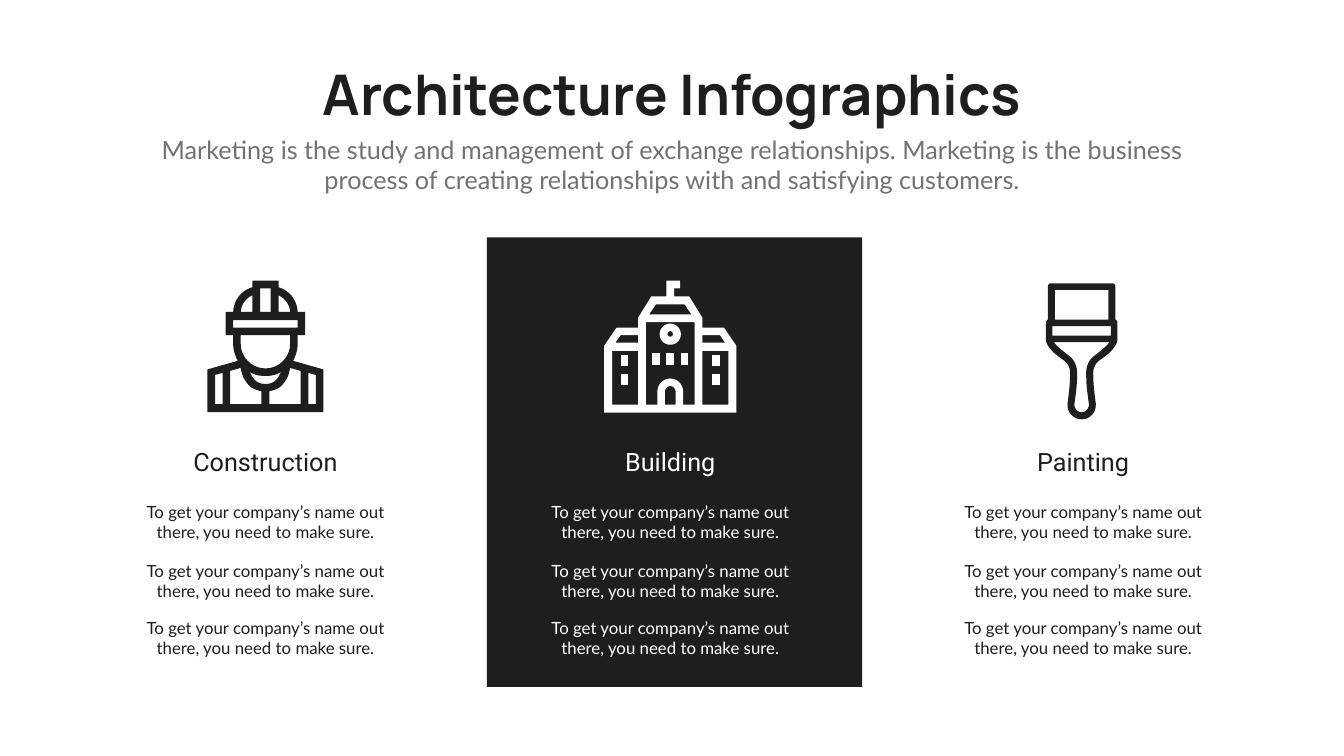
from pptx import Presentation
from pptx import util as u
from pptx.dml.color import RGBColor
from pptx.enum import shapes, text

INK = {"dark": "1E1E1F", "white": "FFFFFF", "gray": "727173"}
WIDE, HIGH = u.Inches(26.66), u.Inches(15)
COL, ROW = WIDE / 100, HIGH / 100
DOT = WIDE / 2666
FINE = 10

WORKER = {
    "whole": [
        [(26, 0), (26, 13), (48, 19, 63, 39, 64, 62), (79, 62), (79, 108), (64, 108),
         (64, 125), (64, 137, 60, 149, 55, 159), (115, 176), (115, 261)],
        [(0, 205), (14, 205, 23, 198, 29, 185), (31, 181), (22, 187, 12, 189, 0, 189)],
        [(10.5, 15), (10.5, 62)],
        [(64, 78), (64, 93)],
        [(49, 108), (49, 125), (49, 152, 27, 174, 0, 174)],
    ],
    "pair": [
        [(8, 219), (16, 218, 23, 215, 29, 211), (35, 206, 40, 199, 44, 191),
         (47, 184, 48, 178, 49, 173), (70, 179), (70, 245), (8, 245)],
        [(49, 62), (26, 62), (26, 29), (39, 35, 48, 47, 49, 62)],
        [(85, 183), (100, 187), (100, 245), (85, 245)],
    ],
}
HALL = {
    "whole": [
        [(37.5, 31), (63.5, 73), (63.5, 93), (106.5, 93), (131, 129), (131, 262)],
        [(28.5, 47), (42, 67)],
        [(0, 209), (6, 209, 10.5, 214, 10.5, 220), (10.5, 246)],
        [(48.5, 82), (48.5, 246), (25.5, 246), (25.5, 220), (25.5, 205, 13, 194, 0, 194)],
    ],
    "pair": [
        [(63.5, 108), (98.5, 108), (109, 123), (63.5, 123)],
        [(63.5, 139), (115.5, 139), (115.5, 246), (63.5, 246)],
    ],
    "lone": [[(-7.5, 0), (19.5, 0), (19.5, 15), (7.5, 15), (7.5, 31), (-7.5, 31)]],
}
CLOCK = {
    "whole": [
        [(0, 85), (11.5, 85, 21, 95, 21, 106), (21, 118, 12, 127, 0, 127)],
        [(0, 100), (3, 100, 5.5, 103, 5.5, 106), (5.5, 109, 3, 111, 0, 111)],
    ],
}
PANES = [(x, 144) for x in (-28, 0, 28)] + [(x, y) for x in (-91, 91) for y in (147, 185)]
BRUSH = {
    "whole": [
        [(60, 0), (64, 0, 67, 3, 67, 6), (67, 72), (69, 73, 71, 76, 71, 79), (71, 111),
         (71, 118, 67, 125, 58, 135), (52, 141, 44, 147, 34, 154),
         (27, 160, 23, 168, 23, 177), (23, 181), (23, 198, 25, 216, 28, 238),
         (28, 239, 28, 241, 28, 242), (28, 258, 15, 270, 0, 270)],
        [(58, 85), (58, 104)],
        [(53, 13), (53, 72)],
        [(55, 117), (51, 123, 42, 131, 25, 144), (15, 151, 9, 164, 9, 177), (9, 181),
         (9, 199, 11, 217, 14.5, 240), (14.5, 249, 8, 256, 0, 256)],
    ],
}


def trace(path, steps=10):
    pts = []
    for node in path:
        if len(node) == 2:
            pts.append(node)
            continue
        knots = [pts[-1], node[:2], node[2:4], node[4:]]
        for i in range(1, steps + 1):
            t = i / steps
            mix = ((1 - t) ** 3, 3 * t * (1 - t) ** 2, 3 * t * t * (1 - t), t ** 3)
            pts.append(tuple(sum(m * k[a] for m, k in zip(mix, knots)) for a in (0, 1)))
    return pts


def flip(pts):
    return [(-x, y) for x, y in reversed(pts)]


def loops(icon):
    for path in icon.get("whole", []):
        pts = trace(path)
        yield pts + flip(pts)
    for path in icon.get("pair", []):
        pts = trace(path)
        yield pts
        yield flip(pts)
    yield from icon.get("lone", [])


def write(frame, words, size=24, font="Lato", ink="dark", bold=False, wrap=True,
          anchor=text.MSO_ANCHOR.TOP):
    frame.auto_size = text.MSO_AUTO_SIZE.NONE
    frame.word_wrap = wrap
    frame.vertical_anchor = anchor
    par = frame.paragraphs[0]
    par.alignment = text.PP_ALIGN.CENTER
    run = par.add_run()
    run.text = words
    run.font.size = u.Pt(size)
    run.font.name = font
    run.font.bold = bold
    run.font.color.rgb = RGBColor.from_string(INK[ink])


class Deck:
    def __init__(self):
        self.prs = Presentation()
        self.prs.slide_width, self.prs.slide_height = WIDE, HIGH
        self.slide = self.prs.slides.add_slide(self.prs.slide_layouts[5])
        self.items = self.slide.shapes

    def place(self, mid, top, wide, high):
        return [round(v) for v in ((mid - wide / 2) * COL, top * ROW, wide * COL, high * ROW)]

    def paint(self, shape, ink):
        shape.shadow.inherit = False
        shape.fill.solid()
        shape.fill.fore_color.rgb = RGBColor.from_string(INK[ink])
        shape.line.fill.background()

    def title(self, words, *spot, **style):
        head = self.items.title
        head.left, head.top, head.width, head.height = self.place(*spot)
        write(head.text_frame, words, **style)

    def label(self, words, *spot, **style):
        write(self.items.add_textbox(*self.place(*spot)).text_frame, words, **style)

    def card(self, *spot, ink="dark"):
        self.paint(self.items.add_shape(shapes.MSO_SHAPE.RECTANGLE, *self.place(*spot)), ink)

    def icon(self, icon, mid, top, ink):
        first, *rest = loops(icon)
        pen = self.items.build_freeform(*(v * FINE for v in first[0]), scale=DOT / FINE)
        pen.add_line_segments([(x * FINE, y * FINE) for x, y in first[1:]])
        for pts in rest:
            pen.move_to(*(v * FINE for v in pts[0]))
            pen.add_line_segments([(x * FINE, y * FINE) for x, y in pts[1:]])
        self.paint(pen.convert_to_shape(round(mid * COL), round(top * ROW)), ink)


def main():
    deck = Deck()
    deck.title("Architecture Infographics", 50, 7.47, 56.6, 9.67, size=80, font="Manrope",
               bold=True, wrap=False, anchor=text.MSO_ANCHOR.MIDDLE)
    deck.label("Marketing is the study and management of exchange relationships. Marketing is "
               "the business process of creating relationships with and satisfying customers.",
               50, 17.4, 78.1, 8.73, size=36, ink="gray")
    deck.card(50.19, 31.4, 27.91, 59.47)
    panes = [{"lone": [[(x - 7.5, y), (x + 7.5, y), (x + 7.5, y + 22.5), (x - 7.5, y + 22.5)]]}
             for x, y in PANES]
    trades = [
        ("Construction", 19.75, "dark", [WORKER], 19.75, 37.13),
        ("Building", 49.87, "white", [HALL, CLOCK, *panes], 49.87, 37.13),
        ("Painting", 80.59, "dark", [BRUSH], 80.48, 37.47),
    ]
    for name, mid, ink, icons, axis, top in trades:
        for icon in icons:
            deck.icon(icon, axis, top, ink)
        deck.label(name, mid, 58.73, 12.23, 4.73, size=36, font="Roboto", ink=ink)
        for row in (66.07, 73.8, 81.33):
            deck.label("To get your company’s name out there, you need to make sure.",
                       mid, row, 20.97, 6.07, ink=ink)
    deck.prs.save("out.pptx")


if __name__ == "__main__":
    main()
